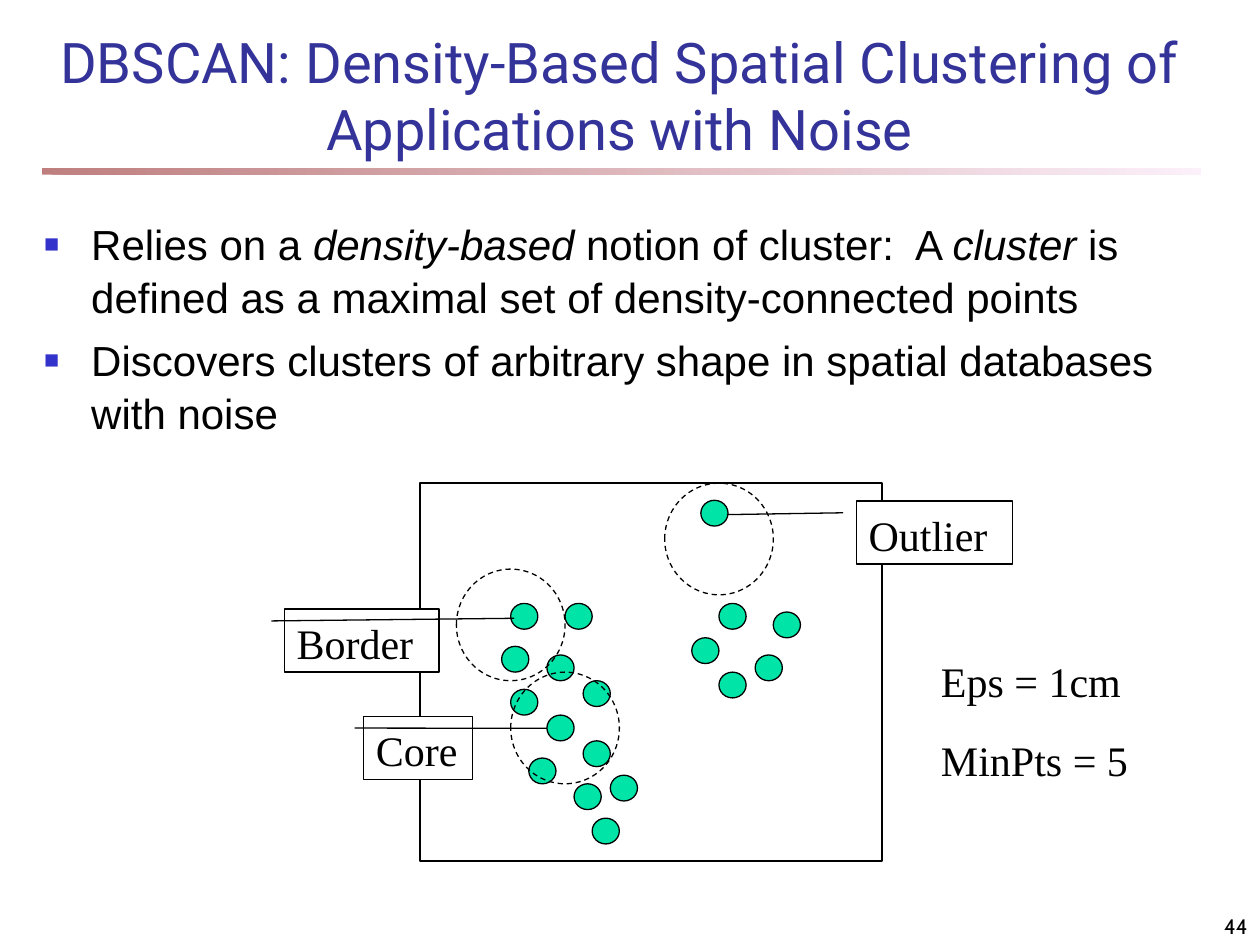
from lxml.etree import SubElement
from pptx import Presentation
from pptx.dml.color import RGBColor
from pptx.enum.dml import MSO_LINE
from pptx.enum.shapes import MSO_SHAPE
from pptx.enum.text import MSO_ANCHOR, MSO_AUTO_SIZE, PP_ALIGN
from pptx.oxml.ns import qn
from pptx.util import Cm, Pt

COLORS = {"title": "333399", "bullet": "3333CC", "ink": "000000", "dot": "00E4A8",
          "paper": "FFFFFF", "rule_start": "800000", "rule_end": "FAE2F6"}
SERIF = "Times New Roman"

# Diagram positions are in cells of a 51 x 44 grid that fills the frame
GRID = (51, 44)
DOT_SIZE = (3, 3)
CIRCLE_SIZE = (12, 13)
DOTS = [(10, 14), (9, 19), (14, 20), (16, 14), (18, 23), (10, 24), (14, 27), (12, 32),
        (17, 35), (19, 39), (18, 30), (21, 34),
        (31, 2), (33, 14), (30, 18), (37, 20), (39, 15), (33, 22)]
CIRCLES = [(4, 10), (10, 22), (27, 0)]
# Text, offset from the frame in cm, width in cm, callout line adjustments
CALLOUTS = [("Core", -1.14, 4.7, 2.19, (0.188, -0.083, 0.191, 1.687)),
            ("Border", -2.74, 2.54, 3.12, (0.188, -0.083, 0.146, 1.485)),
            ("Outlier", 8.79, 0.36, 3.15, (0.188, -0.083, 0.217, -0.828))]
BULLETS = [[("Relies on a ", False), ("density-based", True),
            (" notion of cluster:  A ", False), ("cluster", True),
            (" is defined as a maximal set of density-connected points", False)],
           [("Discovers clusters of arbitrary shape in spatial databases with noise", False)]]


def color(name):
    return RGBColor.from_string(COLORS[name])


def format_span(span, font, size, ink="ink", italic=False):
    span.font.name = font
    span.font.size = Pt(size)
    span.font.italic = italic
    span.font.color.rgb = color(ink)


def format_para(para, font, size, ink="ink", align=PP_ALIGN.LEFT, spacing=1.0):
    para.alignment = align
    para.line_spacing = spacing
    for span in para.runs:
        format_span(span, font, size, ink)


def add_text_box(page, box):
    frame = page.shapes.add_textbox(*(Cm(length) for length in box)).text_frame
    frame.word_wrap = True
    return frame


def add_outline(page, preset, box, fill=None, dash=None):
    shape = page.shapes.add_shape(preset, *(Cm(length) for length in box))
    shape.shadow.inherit = False
    if fill:
        shape.fill.solid()
        shape.fill.fore_color.rgb = color(fill)
    else:
        shape.fill.background()
    shape.line.color.rgb = color("ink")
    shape.line.width = Pt(0.74)
    if dash:
        shape.line.dash_style = dash
    return shape


def add_title(page, box):
    title = page.shapes.title
    title.left, title.top, title.width, title.height = (Cm(length) for length in box)
    frame = title.text_frame
    frame.text = "DBSCAN: Density-Based Spatial Clustering of Applications with Noise"
    frame.auto_size = MSO_AUTO_SIZE.NONE
    frame.vertical_anchor = MSO_ANCHOR.BOTTOM
    format_para(frame.paragraphs[0], "Roboto", 32, "title", PP_ALIGN.CENTER)


def add_rule(page, box):
    rule = add_outline(page, MSO_SHAPE.RECTANGLE, box)
    rule.line.fill.background()
    rule.fill.gradient()
    rule.fill.gradient_angle = 0
    for stop, position, name in zip(rule.fill.gradient_stops, (0, 1), ("rule_start", "rule_end")):
        stop.position = position
        stop.color.rgb = color(name)
    # Half transparent stops
    for tint in rule.fill._xPr.iter(qn("a:srgbClr")):
        SubElement(tint, qn("a:alpha"), val="50000")


def add_bullet(para):
    props = para._p.get_or_add_pPr()
    props.set("marL", str(Cm(0.95)))
    props.set("indent", str(-Cm(0.95)))
    tint = SubElement(props, qn("a:buClr"))
    SubElement(tint, qn("a:srgbClr"), val=COLORS["bullet"])
    SubElement(props, qn("a:buSzPct"), val="60000")
    SubElement(props, qn("a:buFont"), typeface="Arial")
    SubElement(props, qn("a:buChar"), char="■")


def add_body(page, box):
    frame = add_text_box(page, box)
    for index, parts in enumerate(BULLETS):
        para = frame.add_paragraph() if index else frame.paragraphs[0]
        para.line_spacing = 1.05
        para.space_before = Pt(6)
        add_bullet(para)
        for text, italic in parts:
            span = para.add_run()
            span.text = text
            format_span(span, "Arial", 24, italic=italic)


def add_diagram(page, box):
    left, top, width, height = box
    step_x, step_y = width / GRID[0], height / GRID[1]

    def cells(spot, size):
        return (left + spot[0] * step_x, top + spot[1] * step_y,
                size[0] * step_x, size[1] * step_y)

    # Points, frame and neighbourhoods
    for spot in DOTS:
        add_outline(page, MSO_SHAPE.OVAL, cells(spot, DOT_SIZE), "dot")
    add_outline(page, MSO_SHAPE.RECTANGLE, box)
    for spot in CIRCLES:
        add_outline(page, MSO_SHAPE.OVAL, cells(spot, CIRCLE_SIZE), dash=MSO_LINE.DASH)

    # Callouts
    for text, dx, dy, callout_width, adjustments in CALLOUTS:
        callout = add_outline(page, MSO_SHAPE.LINE_CALLOUT_1,
                              (left + dx, top + dy, callout_width, 1.27), "paper")
        for index, value in enumerate(adjustments):
            callout.adjustments[index] = value
        frame = callout.text_frame
        frame.text = text
        frame.vertical_anchor = MSO_ANCHOR.TOP
        format_para(frame.paragraphs[0], SERIF, 24, spacing=1.05)


def add_parameters(page, box):
    frame = add_text_box(page, box)
    frame.text = "Eps = 1cm\nMinPts = 5"
    for para in frame.paragraphs:
        format_para(para, SERIF, 24, spacing=1.05)
        para.space_before = Pt(15)


def add_page_number(page, box):
    frame = add_text_box(page, box)
    frame.text = "44"
    frame.vertical_anchor = MSO_ANCHOR.BOTTOM
    format_para(frame.paragraphs[0], "Cabin", 12, align=PP_ALIGN.RIGHT)


deck = Presentation()
deck.slide_width, deck.slide_height = Cm(25.4), Cm(19.05)
page = deck.slides.add_slide(deck.slide_layouts[5])
add_rule(page, (0.85, 3.39, 23.36, 0.13))
add_title(page, (0.64, 0.64, 23.71, 2.75))
add_body(page, (0.64, 4.23, 23.71, 4.8))
add_diagram(page, (8.47, 9.74, 9.31, 7.62))
add_parameters(page, (18.72, 13.03, 4.57, 2.82))
add_page_number(page, (20.11, 17.99, 5.29, 1.06))
deck.save("out.pptx")
